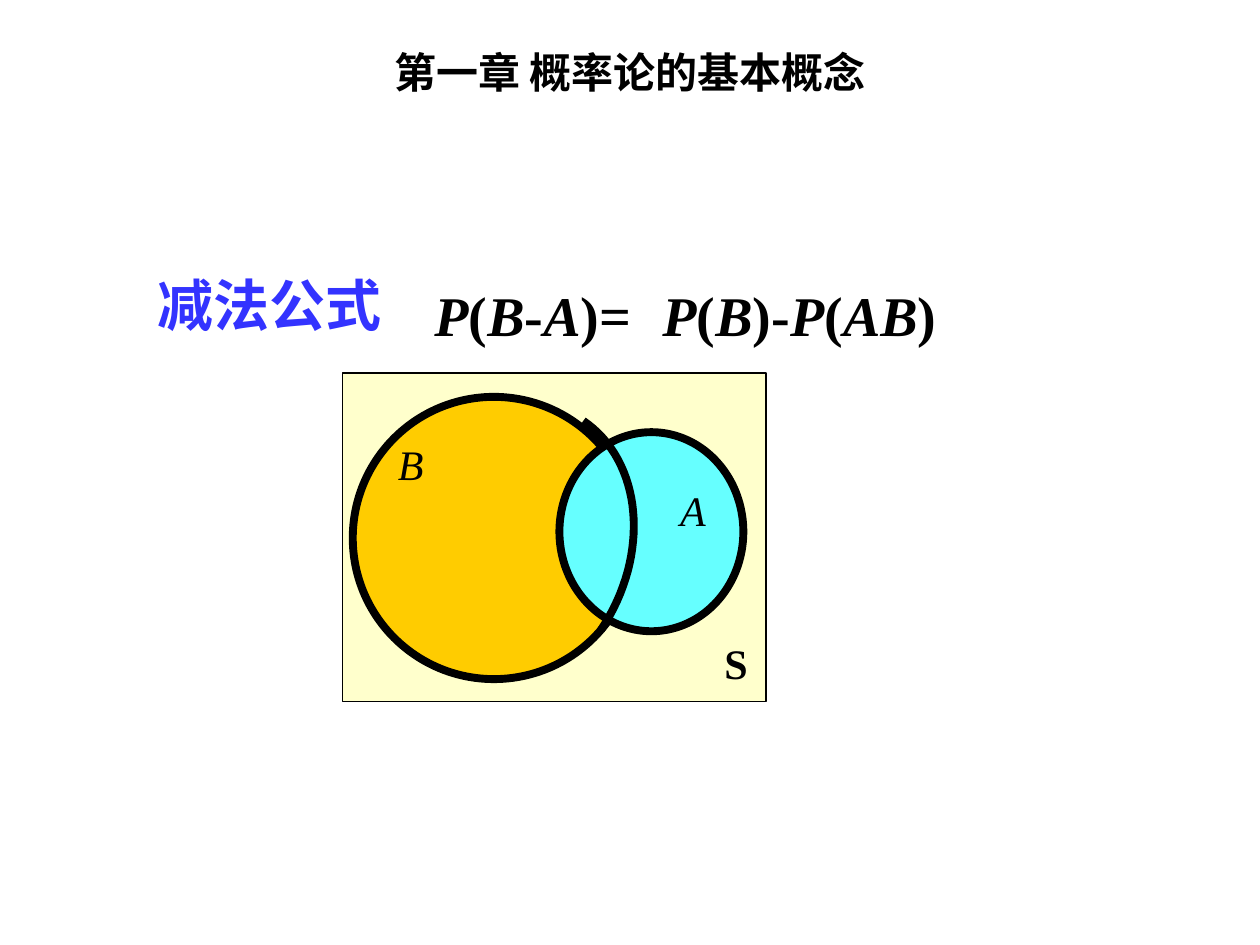
from itertools import groupby

from lxml import etree
from pptx import Presentation
from pptx.dml.color import RGBColor
from pptx.enum.shapes import MSO_SHAPE
from pptx.enum.text import MSO_ANCHOR, MSO_AUTO_SIZE, PP_ALIGN
from pptx.oxml.ns import qn
from pptx.util import Inches, Pt

RECTANGLE, ELLIPSE = MSO_SHAPE.RECTANGLE, MSO_SHAPE.OVAL
TOP, MIDDLE = MSO_ANCHOR.TOP, MSO_ANCHOR.MIDDLE
LEFT, CENTER = PP_ALIGN.LEFT, PP_ALIGN.CENTER
FIXED, GROW = MSO_AUTO_SIZE.NONE, MSO_AUTO_SIZE.SHAPE_TO_FIT_TEXT

THEME = {
    "black": "000000", "blue": "3333FF", "sample": "FFFFCC",
    "set_b": "FFCC00", "set_a": "66FFFF",
    "latin": "Times New Roman", "chinese": "Noto Sans CJK SC",
    "small": 24, "large": 32, "thin": 0.75, "thick": 4.5,
}

TITLE = ("第一章 概率论的基本概念", (0.75, 0.44, 8.5, 0.25))
HEADING = ("减法公式", (1.15, 2.1, 1.98, 0.64))
FORMULAS = [
    ("P(B-A)=", (3.35, 2.18, 1.76, 0.64)),
    ("P(B)-P(AB)", (5.16, 2.18, 2.4, 0.64)),
]
REGIONS = [
    (RECTANGLE, (2.72, 2.96, 3.36, 2.61), "sample", "thin"),
    (ELLIPSE, (2.8, 3.15, 2.24, 2.24), "set_b", "thick"),
    (ELLIPSE, (4.44, 3.43, 1.46, 1.58), "set_a", "thick"),
]
SET_LABELS = [
    ("S", (5.65, 5.01, 0.43, 0.5), True, False),
    ("B", (3.06, 3.43, 0.69, 0.5), False, True),
    ("A", (5.3, 3.8, 0.52, 0.5), False, True),
]
HIDDEN_EDGE = [(4.63, 3.34), (5.1, 3.66), (5.17, 4.4), (4.77, 5)]
EDGE_STEPS = 32


def color(name):
    return RGBColor.from_string(THEME[name])


def add_text(shapes, text, box, size="small", tint="black", bold=True, italic=False,
             math=False, latin="latin", align=LEFT, anchor=TOP, wrap=True):
    shape = shapes.add_textbox(*map(Inches, box))
    frame = shape.text_frame
    frame.word_wrap = wrap
    frame.auto_size = FIXED if wrap else GROW
    frame.vertical_anchor = anchor
    paragraph = frame.paragraphs[0]
    paragraph.alignment = align
    font = paragraph.font
    font.size = Pt(THEME[size])
    font.bold = bold
    font.color.rgb = color(tint)
    font.name = THEME[latin]
    east_asian = etree.Element(qn("a:ea"), typeface=THEME["chinese"])
    font._element.find(qn("a:latin")).addnext(east_asian)
    if math:
        for is_variable, characters in groupby(text, str.isalpha):
            run = paragraph.add_run()
            run.text = "".join(characters)
            run.font.italic = is_variable
    else:
        font.italic = italic
        paragraph.add_run().text = text


def outline(shape, width):
    shape.shadow.inherit = False
    shape.line.color.rgb = color("black")
    shape.line.width = Pt(THEME[width])


def curve_point(t):
    weights = ((1 - t) ** 3, 3 * t * (1 - t) ** 2, 3 * t ** 2 * (1 - t), t ** 3)
    return tuple(
        Inches(sum(weight * point[axis] for weight, point in zip(weights, HIDDEN_EDGE)))
        for axis in (0, 1)
    )


def add_venn_diagram(slide):
    shapes = slide.shapes.add_group_shape().shapes
    for kind, box, fill, width in REGIONS:
        region = shapes.add_shape(kind, *map(Inches, box))
        region.fill.solid()
        region.fill.fore_color.rgb = color(fill)
        outline(region, width)
    for text, box, bold, italic in SET_LABELS:
        add_text(shapes, text, box, bold=bold, italic=italic)
    points = [curve_point(step / EDGE_STEPS) for step in range(EDGE_STEPS + 1)]
    builder = shapes.build_freeform(*points[0])
    builder.add_line_segments(points[1:], close=False)
    edge = builder.convert_to_shape()
    edge.fill.background()
    outline(edge, "thick")


def main():
    presentation = Presentation()
    presentation.slide_width, presentation.slide_height = Inches(10), Inches(7.5)
    slide = presentation.slides.add_slide(presentation.slide_layouts[6])
    add_text(slide.shapes, *TITLE, latin="chinese", align=CENTER, anchor=MIDDLE)
    add_venn_diagram(slide)
    add_text(slide.shapes, *HEADING, size="large", tint="blue", wrap=False)
    for text, box in FORMULAS:
        add_text(slide.shapes, text, box, size="large", math=True, wrap=False)
    presentation.save("out.pptx")


if __name__ == "__main__":
    main()
